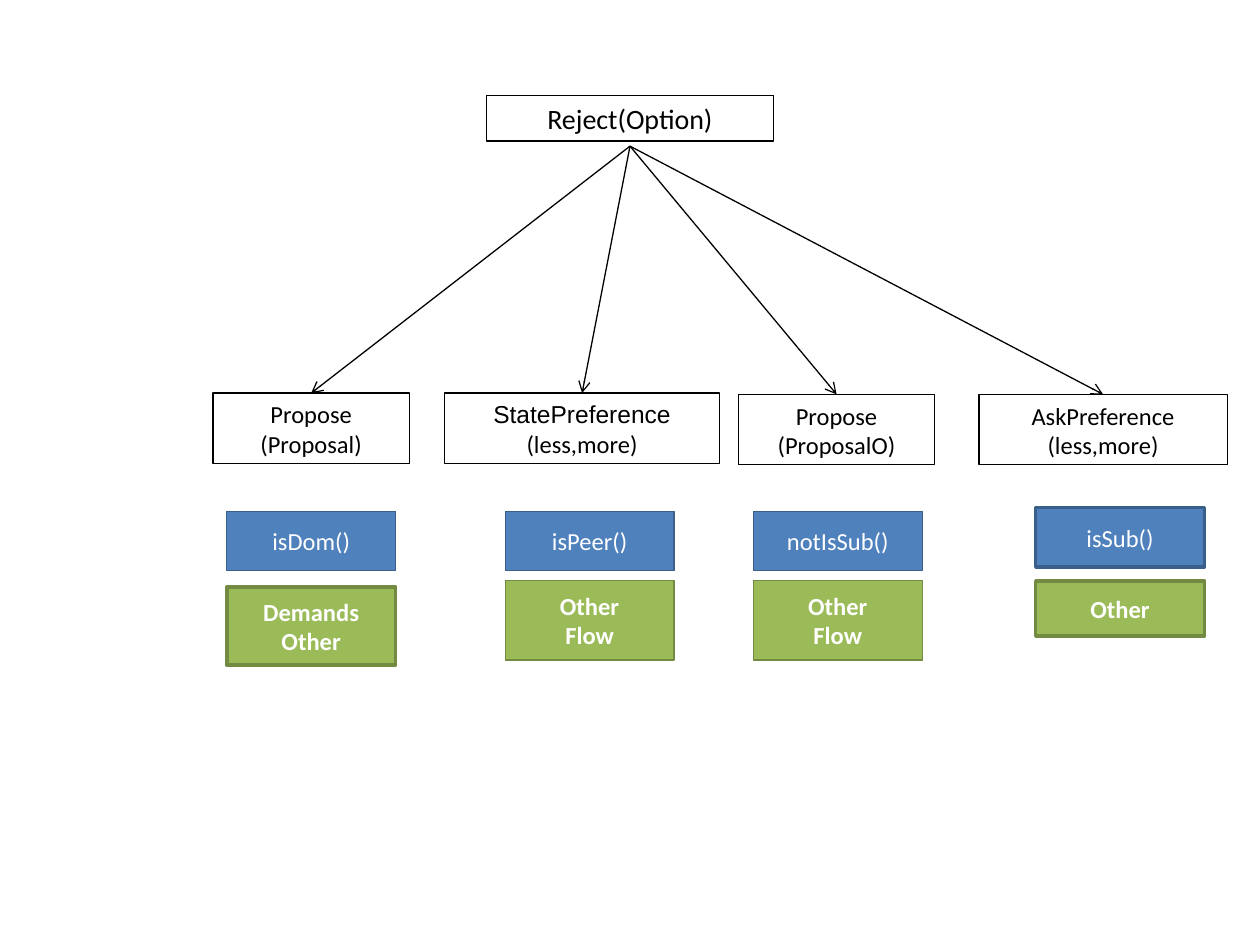
import dataclasses

import lxml.etree
import pptx
import pptx.dml.color
import pptx.enum.shapes
import pptx.enum.text
import pptx.oxml.ns
import pptx.util

Inches = pptx.util.Inches


@dataclasses.dataclass(frozen=True)
class Theme:
    """Colours, fonts and sizes of the slide."""
    ink: str = "000000"
    light: str = "FFFFFF"
    condition: tuple = ("4F81BD", "3A5F8B")
    effect: tuple = ("9BBB59", "728A41")
    font: str = "Calibri"
    root_size: int = 16
    body_size: int = 14
    thin: float = 0.75
    thick: float = 2


@dataclasses.dataclass(frozen=True)
class Branch:
    """One reply: its box, its tags and their outline widths."""
    box: tuple
    move: tuple
    tag_left: float
    condition: str
    condition_top: float
    condition_line: float
    effect: tuple
    effect_top: float
    effect_height: float
    effect_line: float
    move_font: str = "Calibri"


THEME = Theme()
TAG_WIDTH = 1.34
CONDITION_HEIGHT = 0.47
ROOT_BOX = (3.86, 0.76, 2.28, 0.36)
ARROW_START = (5, 1.16)
BRANCHES = [
    Branch((1.69, 3.12, 1.56, 0.56), ("Propose (Proposal)",), 1.8,
           "isDom()", 4.06, THEME.thin,
           ("Demands", "Other"), 4.66, 0.62, THEME.thick),
    Branch((3.53, 3.12, 2.18, 0.56), ("StatePreference", "(less,more)"), 4.01,
           "isPeer()", 4.06, THEME.thin,
           ("Other", "Flow"), 4.61, 0.63, THEME.thin, "Arial"),
    Branch((5.86, 3.13, 1.56, 0.56), ("Propose (ProposalO)",), 5.98,
           "notIsSub()", 4.06, THEME.thin,
           ("Other", "Flow"), 4.61, 0.63, THEME.thin),
    Branch((7.77, 3.13, 1.97, 0.56), ("AskPreference", "(less,more)"), 8.22,
           "isSub()", 4.03, THEME.thick,
           ("Other",), 4.61, 0.44, THEME.thick),
]


def rgb(value):
    """Return a colour object for a hex string."""
    return pptx.dml.color.RGBColor.from_string(value)


def add_box(slide, box, lines, colours=None, line_width=THEME.thin,
            size=THEME.body_size, bold=False):
    """Add a rectangle with centred text, outlined only if no colours are given."""
    shape = slide.shapes.add_shape(
        pptx.enum.shapes.MSO_SHAPE.RECTANGLE, *map(Inches, box))
    shape.shadow.inherit = False
    shape.line.width = pptx.util.Pt(line_width)
    frame = shape.text_frame
    frame.word_wrap = True
    anchors = pptx.enum.text.MSO_ANCHOR
    if colours:
        shape.fill.solid()
        shape.fill.fore_color.rgb = rgb(colours[0])
        shape.line.color.rgb = rgb(colours[1])
        frame.vertical_anchor = anchors.MIDDLE
    else:
        shape.fill.background()
        shape.line.color.rgb = rgb(THEME.ink)
        frame.vertical_anchor = anchors.TOP
    frame.text = "\n".join(lines)
    for paragraph in frame.paragraphs:
        paragraph.alignment = pptx.enum.text.PP_ALIGN.CENTER
        paragraph.font.name = THEME.font
        paragraph.font.size = pptx.util.Pt(size)
        paragraph.font.bold = bold
        paragraph.font.color.rgb = rgb(THEME.light if colours else THEME.ink)
    return shape


def add_arrow(slide, start, end):
    """Add a thin line with an open arrowhead at its end."""
    arrow = slide.shapes.add_connector(
        pptx.enum.shapes.MSO_CONNECTOR.STRAIGHT, *map(Inches, (*start, *end)))
    arrow.line.color.rgb = rgb(THEME.ink)
    arrow.line.width = pptx.util.Pt(THEME.thin)
    qualified = pptx.oxml.ns.qn
    lxml.etree.SubElement(
        arrow.line._get_or_add_ln(), qualified("a:tailEnd"), type="arrow")
    lxml.etree.SubElement(arrow._element.spPr, qualified("a:effectLst"))


def add_branch(slide, branch):
    """Add an arrow, the move it leads to, and the two tags below."""
    left, top, width, _ = branch.box
    add_arrow(slide, ARROW_START, (left + width / 2, top))
    move = add_box(slide, branch.box, branch.move)
    move.text_frame.paragraphs[0].font.name = branch.move_font
    add_box(slide,
            (branch.tag_left, branch.condition_top, TAG_WIDTH, CONDITION_HEIGHT),
            [branch.condition], THEME.condition, branch.condition_line)
    add_box(slide,
            (branch.tag_left, branch.effect_top, TAG_WIDTH, branch.effect_height),
            branch.effect, THEME.effect, branch.effect_line, bold=True)


def build_tree(slide):
    """Draw the root move and all replies to it."""
    add_box(slide, ROOT_BOX, ["Reject(Option)"], size=THEME.root_size)
    for branch in BRANCHES:
        add_branch(slide, branch)


presentation = pptx.Presentation()
presentation.slide_width = Inches(10)
presentation.slide_height = Inches(7.5)
build_tree(presentation.slides.add_slide(presentation.slide_layouts[6]))
presentation.save("out.pptx")
